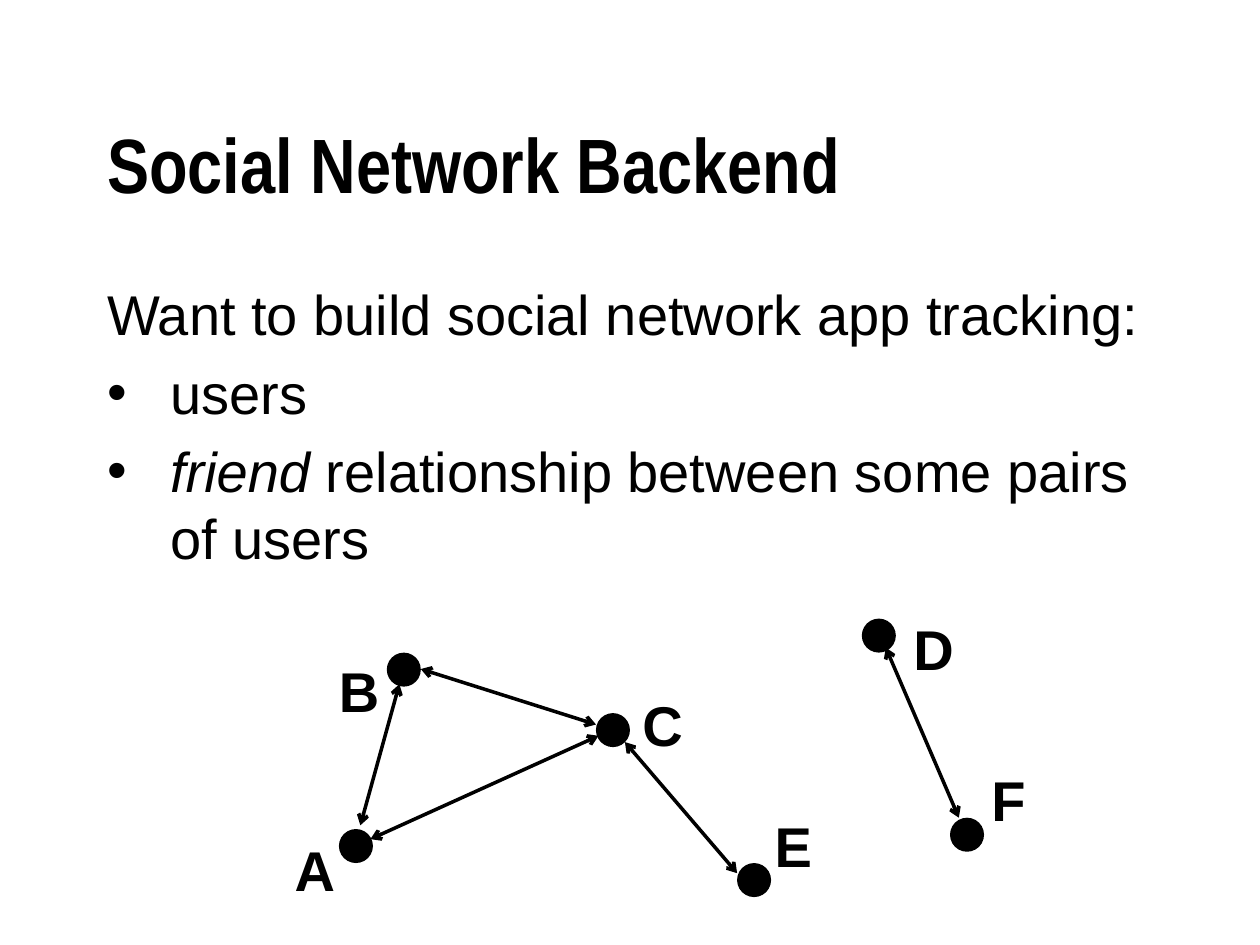
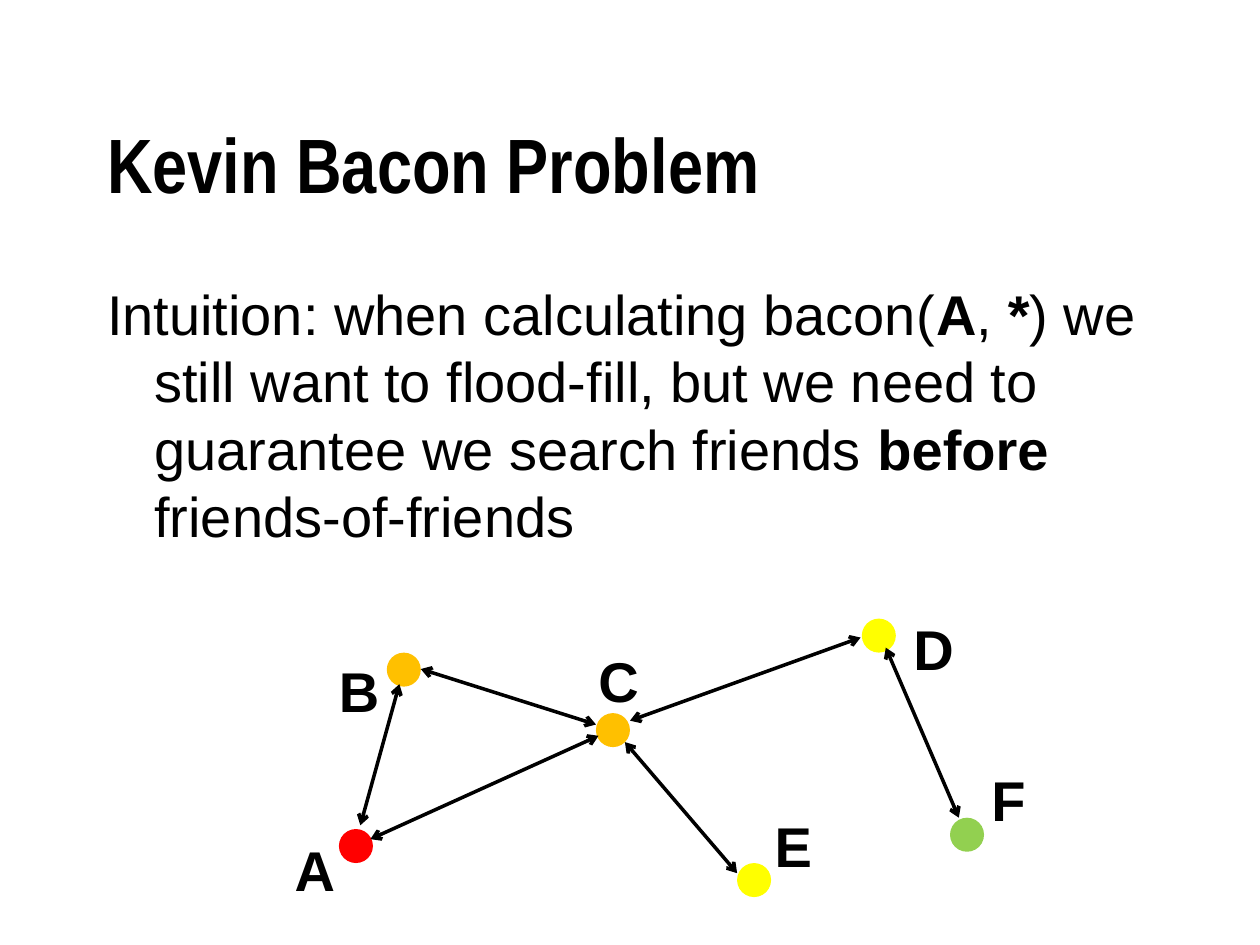
"""Build two slides on a social network graph and searching it."""
from lxml import etree
from pptx import Presentation
from pptx import util as u
from pptx.dml.color import RGBColor
from pptx.enum import shapes, text
from pptx.oxml.ns import qn

PX = 9144
COLORS = {"ink": "000000", "start": "FF0000", "friend": "FFC000",
          "second": "FFFF00", "third": "92D050"}
TITLE_FONT = {"name": "Arial Narrow", "size": u.Pt(44), "bold": True}
BODY_FONT = {"name": "Arial", "size": u.Pt(32)}
LABEL_FONT = {**BODY_FONT, "bold": True}
TITLE_AREA = (75, 67, 850, 125)
BODY_AREA = (75, 217, 850, 450)
DOT = 27
LABEL_HEIGHT = 64
INDENTS = {"plain": 342900, "bullet": 457200}

USERS = {"A": (269, 658), "C": (473, 566), "F": (754, 649),
         "B": (307, 518), "D": (684, 491), "E": (585, 685)}
LABELS = {"A": (224, 658, 53), "B": (259, 516, 52), "C": (500, 543, 52),
          "E": (605, 639, 50), "F": (777, 603, 48), "D": (715, 483, 53)}
FRIENDSHIPS = {"BC": (334, 531, 473, 575), "CE": (496, 589, 585, 693),
               "BA": (317, 543, 286, 655), "DF": (703, 514, 761, 649),
               "CA": (475, 584, 294, 666)}

SLIDES = [
    {"title": "Social Network Backend",
     "body": [
         ("plain", [("Want to build social network app tracking:", {})]),
         ("bullet", [("users", {})]),
         ("bullet", [("friend", {"italic": True}),
                     (" relationship between some pairs of users", {})])],
     "levels": dict.fromkeys(USERS, "ink"),
     "labels": LABELS,
     "friendships": FRIENDSHIPS},
    {"title": "Kevin Bacon Problem",
     "body": [
         ("plain", [("Intuition: when calculating bacon(", {}),
                    ("A", {"bold": True}), (",", {}), (" *", {"bold": True}),
                    (") we still want to flood-fill, but we need to "
                     "guarantee we search friends ", {}),
                    ("before", {"bold": True}),
                    (" friends-of-friends", {})])],
     "levels": {"A": "start", "B": "friend", "C": "friend",
                "D": "second", "E": "second", "F": "third"},
     "labels": {**LABELS, "C": (465, 508, 52)},
     "friendships": {**FRIENDSHIPS, "DC": (683, 506, 500, 572)}},
]


def px(*lengths):
    return [length * PX for length in lengths]


def rgb(color):
    return RGBColor.from_string(COLORS[color])


def apply(target, values):
    for name, value in values.items():
        setattr(target, name, value)


def write(paragraph, words, font):
    run = paragraph.add_run()
    run.text = words
    apply(run.font, font)
    run.font.color.rgb = rgb("ink")


def place(holder, area):
    apply(holder, dict(zip(("left", "top", "width", "height"), px(*area))))
    apply(holder.text_frame, {"word_wrap": True,
                              "auto_size": text.MSO_AUTO_SIZE.NONE})
    return holder.text_frame


def add_title(slide, words):
    frame = place(slide.shapes.title, TITLE_AREA)
    frame.vertical_anchor = text.MSO_ANCHOR.MIDDLE
    heading = frame.paragraphs[0]
    heading.alignment = text.PP_ALIGN.LEFT
    write(heading, words, TITLE_FONT)


def add_body(slide, items):
    frame = place(slide.placeholders[1], BODY_AREA)
    for index, (style, runs) in enumerate(items):
        item = frame.add_paragraph() if index else frame.paragraphs[0]
        for words, emphasis in runs:
            write(item, words, {**BODY_FONT, **emphasis})
        props = item._p.get_or_add_pPr()
        props.set("marL", str(INDENTS[style]))
        props.set("indent", str(-INDENTS[style]))
        if style == "plain":
            etree.SubElement(props, qn("a:buNone"))
        else:
            etree.SubElement(props, qn("a:buChar"), char="•")


def add_user(slide, spot, color):
    dot = slide.shapes.add_shape(shapes.MSO_SHAPE.OVAL, *px(*spot, DOT, DOT))
    dot.shadow.inherit = False
    dot.fill.solid()
    dot.fill.fore_color.rgb = rgb(color)
    dot.line.fill.background()


def add_label(slide, user, left, top, width):
    label = slide.shapes.add_textbox(*px(left, top, width, LABEL_HEIGHT))
    apply(label.text_frame, {"word_wrap": False,
                             "auto_size": text.MSO_AUTO_SIZE.SHAPE_TO_FIT_TEXT})
    write(label.text_frame.paragraphs[0], user, LABEL_FONT)


def add_friendship(slide, ends):
    arrow = slide.shapes.add_connector(shapes.MSO_CONNECTOR.STRAIGHT, *px(*ends))
    arrow.line.color.rgb = rgb("ink")
    arrow.line.width = u.Pt(2)
    stroke = arrow.line._get_or_add_ln()
    for end in ("a:headEnd", "a:tailEnd"):
        etree.SubElement(stroke, qn(end), type="arrow")
    etree.SubElement(arrow._element.spPr, qn("a:effectLst"))


def main():
    deck = Presentation()
    apply(deck, {"slide_width": u.Inches(10), "slide_height": u.Inches(7.5)})
    for content in SLIDES:
        slide = deck.slides.add_slide(deck.slide_layouts[1])
        add_title(slide, content["title"])
        add_body(slide, content["body"])
        for user, spot in USERS.items():
            add_user(slide, spot, content["levels"][user])
        for user, area in content["labels"].items():
            add_label(slide, user, *area)
        for ends in content["friendships"].values():
            add_friendship(slide, ends)
    deck.save("out.pptx")


if __name__ == "__main__":
    main()
